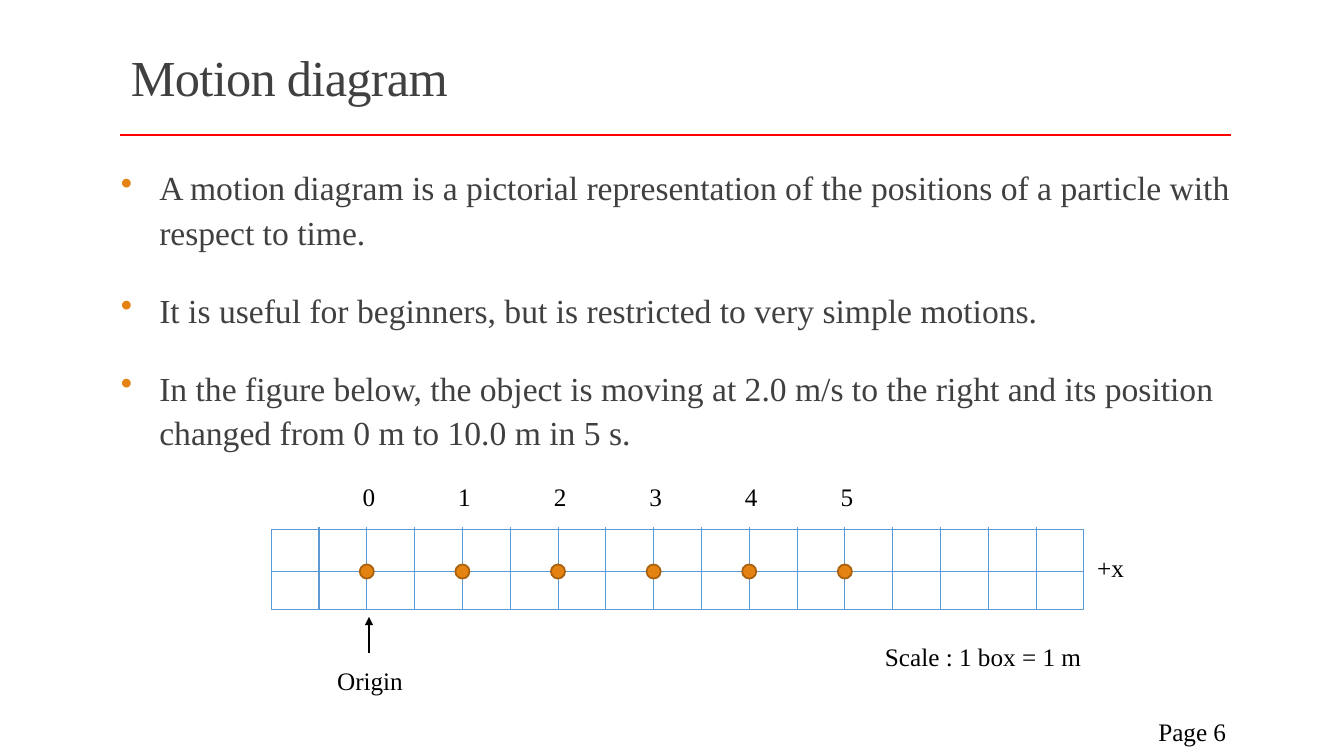
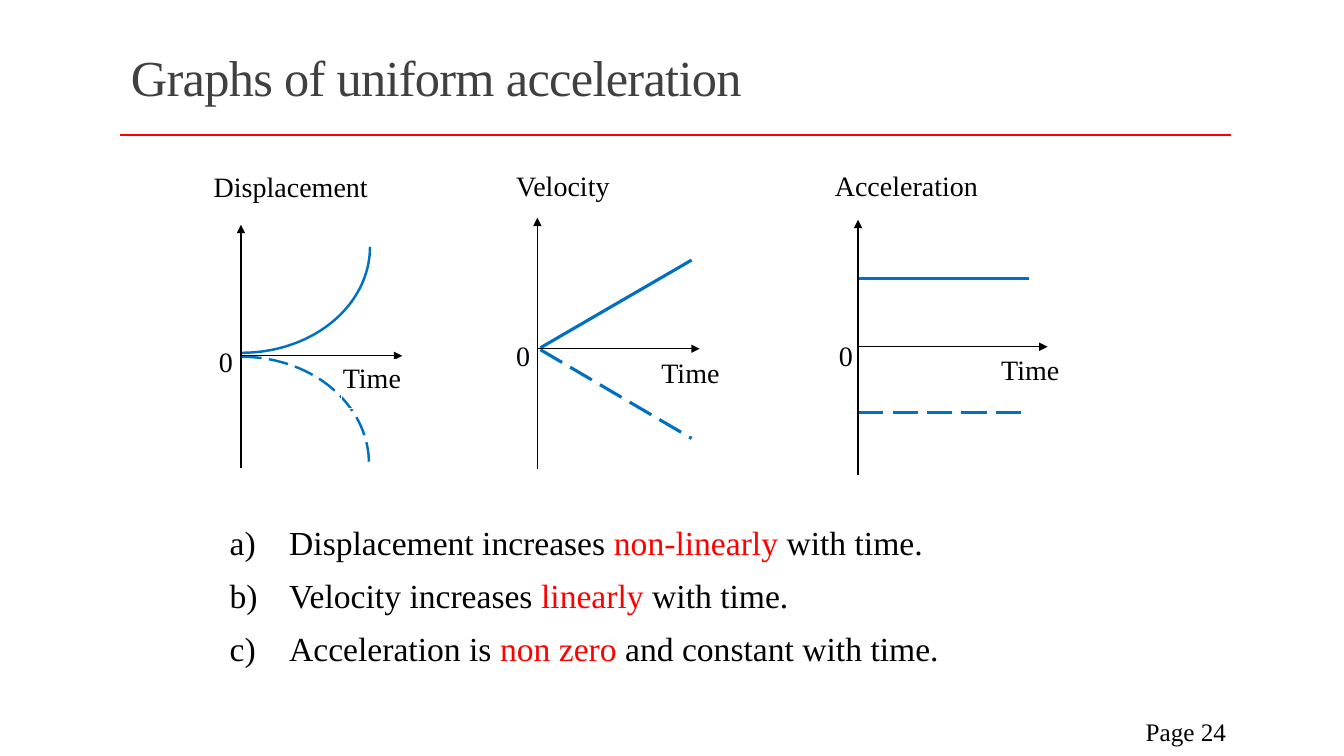
from dataclasses import dataclass
from math import cos, pi, sin

from lxml.etree import SubElement
from pptx import Presentation
from pptx.dml.color import RGBColor
from pptx.enum.dml import MSO_LINE
from pptx.enum.shapes import MSO_CONNECTOR, MSO_SHAPE
from pptx.enum.text import MSO_ANCHOR, PP_ALIGN
from pptx.oxml.ns import qn
from pptx.util import Inches, Pt

Box = tuple[float, float, float, float]
Point = tuple[float, float]

COLORS = {
    "title": "404040",
    "text": "000000",
    "accent": "FF0000",
    "orange": "E48312",
    "orange_edge": "A9610D",
    "grid": "5B9BD5",
    "curve": "0070C0",
    "white": "FFFFFF",
}
FONT = "Times New Roman"


@dataclass
class TextStyle:
    size: float = 18
    color: str = "text"
    align: PP_ALIGN = PP_ALIGN.LEFT
    anchor: MSO_ANCHOR = MSO_ANCHOR.TOP
    insets: Point = (0.1, 0.05)
    line_spacing: float = 1.0
    before: float = 0
    after: float = 0
    tracking: float = 0
    indent: float = 0
    bullet: str = ""


@dataclass
class Stroke:
    color: str
    width: float
    dashed: bool = False
    arrow: bool = False


@dataclass
class Graph:
    quantity: str
    name_at: Point
    zero_at: Point
    time_box: Box
    origin: Point
    top: float
    bottom: float
    right: float
    axis_widths: Point


TITLE = TextStyle(36, "title", anchor=MSO_ANCHOR.MIDDLE, line_spacing=0.85, tracking=-0.5)
PAGE = TextStyle(align=PP_ALIGN.RIGHT, anchor=MSO_ANCHOR.MIDDLE)
BODY = TextStyle(24, "title", insets=(0, 0.05), line_spacing=1.1, before=18, after=6,
                 indent=0.38, bullet="•")
LETTERED = TextStyle(24, line_spacing=1.1, before=6, indent=0.59, bullet="a)")
FIGURE_LABEL = TextStyle(align=PP_ALIGN.CENTER, insets=(0, 0))
GRAPH_LABEL = TextStyle(20, insets=(0.01, 0.01))

RULE = Stroke("accent", 2)
GRID = Stroke("grid", 0.75)
WHITE_EDGE = Stroke("white", 0.75)

GRAPHS = [
    Graph("Displacement", (2.11, 1.67), (2.16, 3.41), (3.39, 3.57, 1.14, 0.48),
          (2.39, 3.53), 2.23, 4.64, 3.99, (1, 0.75)),
    Graph("Velocity", (5.11, 1.66), (5.11, 3.35), (6.55, 3.52, 1.24, 0.53),
          (5.33, 3.46), 2.16, 4.65, 6.94, (0.75, 0.75)),
    Graph("Acceleration", (8.27, 1.66), (8.31, 3.35), (9.92, 3.49, 1.16, 0.57),
          (8.51, 3.44), 2.18, 4.71, 10.39, (1, 1)),
]


def rgb(name: str) -> RGBColor:
    return RGBColor.from_string(COLORS[name])


def apply_stroke(line, stroke: Stroke) -> None:
    line.color.rgb = rgb(stroke.color)
    line.width = Pt(stroke.width)
    if stroke.dashed:
        line.dash_style = MSO_LINE.LONG_DASH


def draw_line(slide, start: Point, end: Point, stroke: Stroke) -> None:
    connector = slide.shapes.add_connector(
        MSO_CONNECTOR.STRAIGHT, *(Inches(v) for v in (*start, *end)))
    apply_stroke(connector.line, stroke)
    properties = connector._element.spPr
    if stroke.arrow:
        SubElement(properties.find(qn("a:ln")), qn("a:tailEnd"), type="triangle")
    SubElement(properties, qn("a:effectLst"))


def add_bullet(paragraph, style: TextStyle) -> None:
    properties = paragraph._p.get_or_add_pPr()
    properties.set("marL", str(Inches(style.indent)))
    properties.set("indent", str(-Inches(style.indent)))
    if style.bullet == "a)":
        SubElement(properties, qn("a:buAutoNum"), type="alphaLcParenR")
    else:
        color = SubElement(properties, qn("a:buClr"))
        SubElement(color, qn("a:srgbClr"), val=COLORS["orange"])
        SubElement(properties, qn("a:buChar"), char=style.bullet)


def write(frame, paragraphs: list[list[str]], style: TextStyle) -> None:
    frame.word_wrap = True
    frame.vertical_anchor = style.anchor
    frame.margin_left = frame.margin_right = Inches(style.insets[0])
    frame.margin_top = frame.margin_bottom = Inches(style.insets[1])
    for index, pieces in enumerate(paragraphs):
        paragraph = frame.add_paragraph() if index else frame.paragraphs[0]
        if style.bullet:
            add_bullet(paragraph, style)
        paragraph.alignment = style.align
        paragraph.line_spacing = style.line_spacing
        paragraph.space_before = Pt(style.before if index else 0)
        paragraph.space_after = Pt(style.after)
        for position, piece in enumerate(pieces):
            run = paragraph.add_run()
            run.text = piece
            run.font.name = FONT
            run.font.size = Pt(style.size)
            run.font.color.rgb = rgb("accent" if position % 2 else style.color)
            if style.tracking:
                run._r.get_or_add_rPr().set("spc", str(int(style.tracking * 100)))


def add_text(slide, box: Box, paragraphs: list[list[str]], style: TextStyle) -> None:
    textbox = slide.shapes.add_textbox(*(Inches(v) for v in box))
    write(textbox.text_frame, paragraphs, style)


def add_figure(slide, kind: MSO_SHAPE, box: Box, stroke: Stroke, fill: str = ""):
    shape = slide.shapes.add_shape(kind, *(Inches(v) for v in box))
    shape.shadow.inherit = False
    if fill:
        shape.fill.solid()
        shape.fill.fore_color.rgb = rgb(fill)
    else:
        shape.fill.background()
    apply_stroke(shape.line, stroke)
    return shape


def draw_quarter_curve(slide, center: Point, radii: Point, stroke: Stroke) -> None:
    steps = 40
    angles = [pi / 2 * i / steps for i in range(steps + 1)]
    points = [(Inches(center[0] + radii[0] * sin(a)), Inches(center[1] + radii[1] * cos(a)))
              for a in angles]
    builder = slide.shapes.build_freeform(*points[0])
    builder.add_line_segments(points[1:], close=False)
    curve = builder.convert_to_shape()
    curve.shadow.inherit = False
    curve.fill.background()
    apply_stroke(curve.line, stroke)


def start_slide(deck, title: str, page: int):
    slide = deck.slides.add_slide(deck.slide_layouts[6])
    draw_line(slide, (1.19, 1.34), (12.21, 1.34), RULE)
    add_text(slide, (1.2, 0.31, 11, 0.98), [[title]], TITLE)
    add_text(slide, (10.83, 7.06, 1.43, 0.4), [[f"Page {page}"]], PAGE)
    return slide


def draw_motion_grid(slide) -> None:
    left, step, columns = 2.69, 0.48, 17
    step = 8.06 / columns
    add_figure(slide, MSO_SHAPE.RECTANGLE, (left, 5.25, 8.06, 0.8), GRID)
    draw_line(slide, (left, 5.67), (left + 8.06, 5.67), GRID)
    for column in range(1, columns):
        x = left + column * step
        draw_line(slide, (x, 5.23), (x, 6.04), GRID)
    for second in range(6):
        x = left + 2 * (second + 1) * step
        add_text(slide, (x - 0.19, 4.77, 0.42, 0.48), [[str(second)]], FIGURE_LABEL)
        add_figure(slide, MSO_SHAPE.OVAL, (x - 0.07, 5.6, 0.14, 0.14),
                   Stroke("orange_edge", 1.25), "orange")


def build_motion_slide(deck) -> None:
    slide = start_slide(deck, "Motion diagram", 6)
    add_text(slide, (1.2, 1.57, 11.02, 5.12), [
        ["A motion diagram is a pictorial representation of the positions of a particle "
         "with respect to time."],
        ["It is useful for beginners, but is restricted to very simple motions."],
        ["In the figure below, the object is moving at 2.0 m/s to the right and its "
         "position changed from 0 m to 10.0 m in 5 s."],
    ], BODY)
    draw_line(slide, (3.66, 6.48), (3.66, 6.12), Stroke("text", 0.75, arrow=True))
    for caption, box in [
        ("Origin", (3.09, 6.6, 1.16, 0.41)),
        ("Scale : 1 box = 1 m", (8.54, 6.36, 2.42, 0.39)),
        ("+x", (10.83, 5.48, 0.37, 0.41)),
    ]:
        label = add_figure(slide, MSO_SHAPE.RECTANGLE, box, WHITE_EDGE, "white")
        write(label.text_frame, [[caption]], FIGURE_LABEL)
    draw_motion_grid(slide)


def draw_axes(slide, graph: Graph) -> None:
    x, y = graph.origin
    vertical, horizontal = graph.axis_widths
    draw_line(slide, (x, graph.bottom), (x, graph.top), Stroke("text", vertical, arrow=True))
    draw_line(slide, (x, y), (graph.right, y), Stroke("text", horizontal, arrow=True))
    add_text(slide, (*graph.name_at, 2.3, 0.45), [[graph.quantity]], GRAPH_LABEL)
    add_text(slide, (*graph.zero_at, 0.31, 0.29), [["0"]], GRAPH_LABEL)
    time = add_figure(slide, MSO_SHAPE.RECTANGLE, graph.time_box, Stroke("white", 1))
    write(time.text_frame, [["Time"]], GRAPH_LABEL)


def build_graphs_slide(deck) -> None:
    slide = start_slide(deck, "Graphs of uniform acceleration", 24)
    draw_quarter_curve(slide, (2.4, 2.45), (1.27, 1.05), Stroke("curve", 1.75))
    draw_quarter_curve(slide, (2.4, 4.6), (1.26, -1.06), Stroke("curve", 1.75, dashed=True))
    for start, end, dashed in [
        ((5.36, 3.45), (6.86, 2.58), False),
        ((5.36, 3.47), (6.86, 4.35), True),
        ((8.52, 2.76), (10.21, 2.76), False),
        ((8.51, 4.09), (10.2, 4.09), True),
    ]:
        draw_line(slide, start, end, Stroke("curve", 2.25, dashed))
    for graph in GRAPHS:
        draw_axes(slide, graph)
    add_text(slide, (2.18, 5.09, 8.66, 1.6), [
        ["Displacement increases ", "non-linearly", " with time."],
        ["Velocity increases ", "linearly", " with time."],
        ["Acceleration is ", "non zero ", "and constant with time."],
    ], LETTERED)


def main() -> None:
    deck = Presentation()
    deck.slide_width, deck.slide_height = Inches(13.33), Inches(7.5)
    build_motion_slide(deck)
    build_graphs_slide(deck)
    deck.save("out.pptx")


if __name__ == "__main__":
    main()
